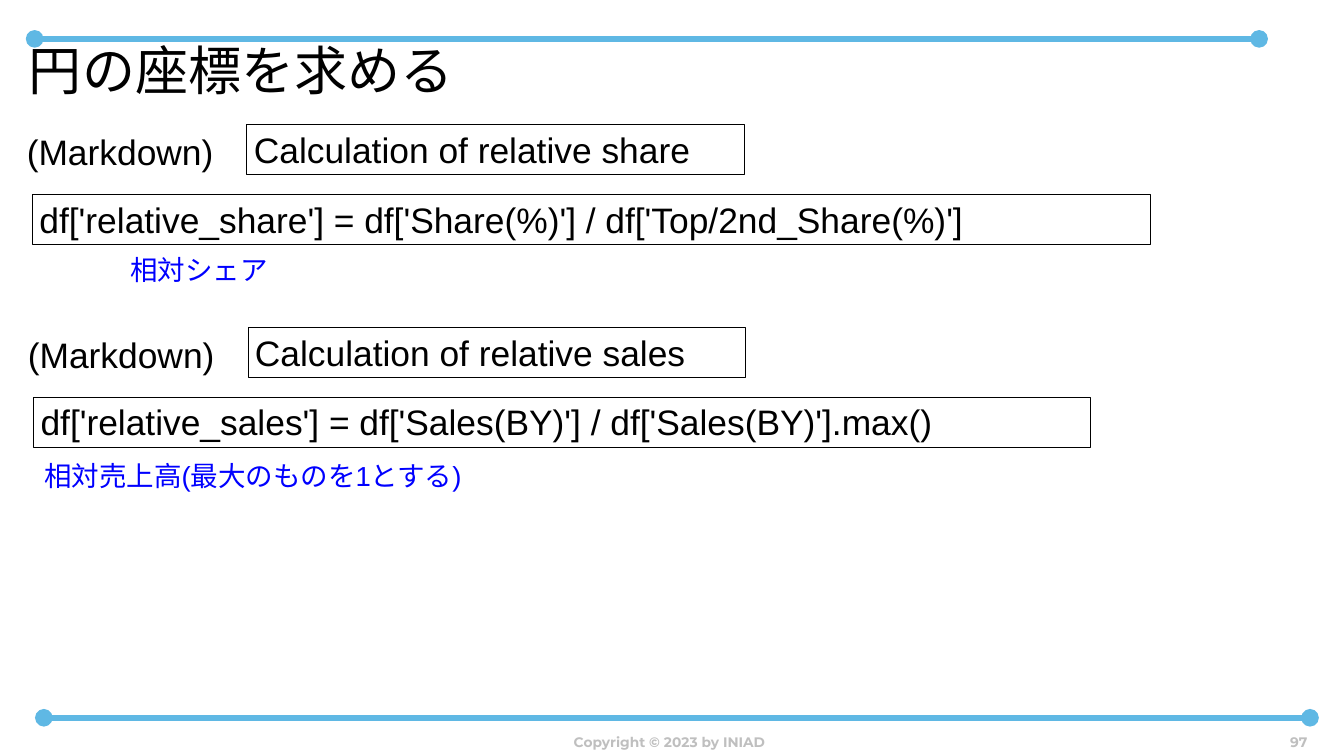
"""Build the slide on relative share and relative sales formulas."""
from dataclasses import dataclass

from lxml import etree
from pptx import Presentation
from pptx.dml.color import RGBColor
from pptx.enum.shapes import MSO_CONNECTOR, MSO_SHAPE
from pptx.enum.text import MSO_ANCHOR, PP_ALIGN
from pptx.oxml.ns import qn
from pptx.util import Inches, Pt

STRAIGHT = MSO_CONNECTOR.STRAIGHT
RECTANGLE = MSO_SHAPE.RECTANGLE
TOP, BOTTOM = MSO_ANCHOR.TOP, MSO_ANCHOR.BOTTOM
LEFT, CENTER, RIGHT = PP_ALIGN.LEFT, PP_ALIGN.CENTER, PP_ALIGN.RIGHT

SLIDE_WIDTH, SLIDE_HEIGHT = 19, 10.69
COLUMNS, ROWS = 190, 106.9
COLORS = {"rule": "5FB8E4", "text": "000000", "note": "0000FF", "footer": "BFBFBF"}


@dataclass(frozen=True)
class Style:
    font: str
    size: int
    color: str
    align: PP_ALIGN = LEFT
    anchor: MSO_ANCHOR = TOP
    bold: bool = False
    framed: bool = False
    inset: tuple[float, float] = (1, 0.5)


@dataclass(frozen=True)
class Area:
    column: float
    row: float
    width: float
    height: float


@dataclass(frozen=True)
class Rule:
    start: float
    end: float
    row: float


@dataclass(frozen=True)
class Section:
    shift: float
    row: float
    heading: str
    formula: str
    formula_width: float
    note: str
    note_area: Area


TITLE = Style("TeX Gyre Adventor", 54, "text", inset=(0, 0))
LABEL = Style("Arial", 36, "text")
FRAMED = Style("Arial", 36, "text", framed=True)
NOTE = Style("Arial", 28, "note", align=CENTER)
COPYRIGHT = Style("Montserrat", 14, "footer", CENTER, BOTTOM, bold=True)
PAGE_NUMBER = Style("Montserrat", 14, "footer", RIGHT, BOTTOM, bold=True)

RULES = (Rule(4.9, 178, 5.5), Rule(6.2, 185.2, 101.5))
SECTIONS = (
    Section(0, 17.6, "Calculation of relative share",
            "df['relative_share'] = df['Share(%)'] / df['Top/2nd_Share(%)']", 158.1,
            "相対シェア", Area(17.3, 35.3, 21.7, 5.7)),
    Section(0.15, 46.3, "Calculation of relative sales",
            "df['relative_sales'] = df['Sales(BY)'] / df['Sales(BY)'].max()", 149.4,
            "相対売上高(最大のものを1とする)", Area(4.3, 64.4, 62.9, 5.7)),
)


def across(columns: float) -> int:
    """Return the length of some grid columns."""
    return Inches(SLIDE_WIDTH * columns / COLUMNS)


def down(rows: float) -> int:
    """Return the length of some grid rows."""
    return Inches(SLIDE_HEIGHT * rows / ROWS)


def rgb(key: str) -> RGBColor:
    """Look up a named colour."""
    return RGBColor.from_string(COLORS[key])


def draw_rule(slide, rule: Rule) -> None:
    """Draw a horizontal rule with round ends."""
    connector = slide.shapes.add_connector(
        STRAIGHT, across(rule.start), down(rule.row), across(rule.end), down(rule.row))
    connector.line.color.rgb = rgb("rule")
    connector.line.width = Pt(6)
    outline = connector.line._get_or_add_ln()
    for end in ("a:headEnd", "a:tailEnd"):
        etree.SubElement(outline, qn(end), type="oval")
    etree.SubElement(connector._element.spPr, qn("a:effectLst"))


def draw_text(slide, wording: str, area: Area, style: Style) -> None:
    """Draw one line of text, framed when its style says so."""
    place = (across(area.column), down(area.row), across(area.width), down(area.height))
    if style.framed:
        box = slide.shapes.add_shape(RECTANGLE, *place)
        box.shadow.inherit = False
        box.fill.background()
        box.line.color.rgb = rgb("text")
        box.line.width = Pt(0.75)
    else:
        box = slide.shapes.add_textbox(*place)
    frame = box.text_frame
    frame.word_wrap = True
    frame.vertical_anchor = style.anchor
    frame.margin_left = frame.margin_right = across(style.inset[0])
    frame.margin_top = frame.margin_bottom = down(style.inset[1])
    paragraph = frame.paragraphs[0]
    paragraph.alignment = style.align
    run = paragraph.add_run()
    run.text = wording
    run.font.name = style.font
    run.font.size = Pt(style.size)
    run.font.bold = style.bold
    run.font.color.rgb = rgb(style.color)


def draw_section(slide, section: Section) -> None:
    """Draw a Markdown heading, its formula and the note below."""
    shift, row, height = section.shift, section.row, 7.1
    draw_text(slide, section.heading, Area(34.9 + shift, row, 70.3, height), FRAMED)
    draw_text(slide, "(Markdown)", Area(2.8 + shift, row + 0.25, 31.9, height), LABEL)
    draw_text(slide, section.formula,
              Area(4.6 + shift, row + 9.85, section.formula_width, height), FRAMED)
    draw_text(slide, section.note, section.note_area, NOTE)


def main() -> None:
    """Build and save the presentation."""
    presentation = Presentation()
    presentation.slide_width = Inches(SLIDE_WIDTH)
    presentation.slide_height = Inches(SLIDE_HEIGHT)
    slide = presentation.slides.add_slide(presentation.slide_layouts[6])
    for rule in RULES:
        draw_rule(slide, rule)
    draw_text(slide, "円の座標を求める", Area(4.1, 5.3, 173.9, 15.5), TITLE)
    draw_text(slide, "Copyright © 2023 by INIAD", Area(4.4, 101.5, 180.5, 5.1), COPYRIGHT)
    draw_text(slide, "97", Area(175.4, 101.6, 10.4, 5), PAGE_NUMBER)
    for section in SECTIONS:
        draw_section(slide, section)
    presentation.save("out.pptx")


if __name__ == "__main__":
    main()
